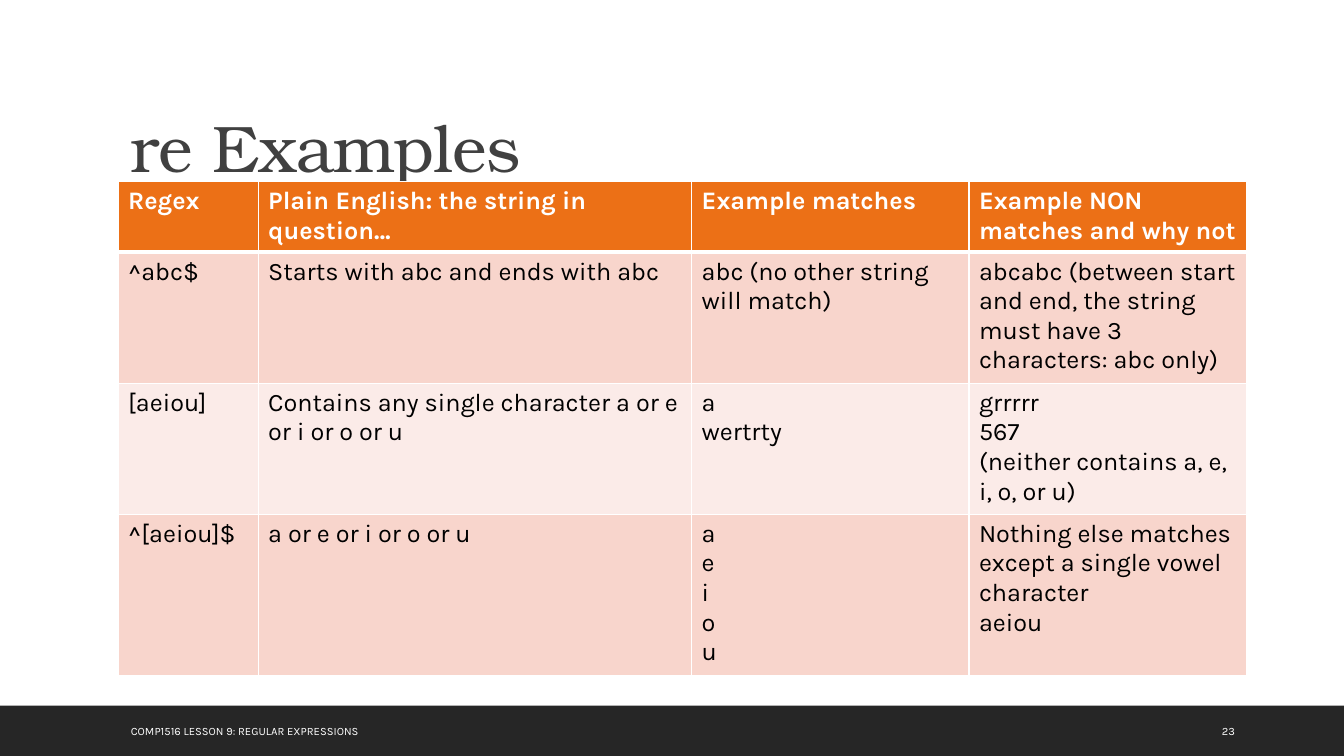
from lxml import etree
from pptx import Presentation
from pptx.dml.color import RGBColor
from pptx.enum.shapes import MSO_SHAPE
from pptx.enum.text import MSO_ANCHOR
from pptx.oxml.ns import qn
from pptx.util import Inches, Pt

RECTANGLE = MSO_SHAPE.RECTANGLE
BOTTOM, MIDDLE = MSO_ANCHOR.BOTTOM, MSO_ANCHOR.MIDDLE

WHITE = RGBColor(0xFF, 0xFF, 0xFF)
BLACK = RGBColor(0x00, 0x00, 0x00)
CHARCOAL = RGBColor(0x26, 0x26, 0x26)
TITLE_GRAY = RGBColor(0x40, 0x40, 0x40)
ORANGE = RGBColor(0xEC, 0x70, 0x16)
BANDS = (RGBColor(0xFB, 0xEB, 0xE8), RGBColor(0xF8, 0xD5, 0xCC))

TITLE_FONT, BODY_FONT = "TeX Gyre Bonum", "Karla"
SLIDE_WIDTH, SLIDE_HEIGHT = 13.33, 7.5
MARGIN = 1.2
FOOTER_HEIGHT = 0.5

COLUMN_WIDTHS = (1.39, 4.3, 2.75, 2.75)
ROW_HEIGHTS = (0.67, 1.27, 1.27, 1.56)
ROWS = (
    ("Regex", "Plain English: the string in question…",
     "Example matches", "Example NON matches and why not"),
    ("^abc$", "Starts with abc and ends with abc",
     "abc (no other string will match)",
     "abcabc (between start and end, the string must have 3 characters: abc only)"),
    ("[aeiou]", "Contains any single character a or e or i or o or u",
     "a\nwertrty", "grrrrr\n567\n(neither contains a, e, i, o, or u)"),
    ("^[aeiou]$", "a or e or i or o or u", "a\ne\ni\no\nu",
     "Nothing else matches except a single vowel character\naeiou"),
)


def set_text(text_frame, text, font_name, size, color, bold=False):
    text_frame.text = text
    text_frame.word_wrap = True
    for paragraph in text_frame.paragraphs:
        font = paragraph.font
        font.name, font.size, font.bold = font_name, Pt(size), bold
        font.color.rgb = color


def add_text(slide, box, text, font_name, size, color, anchor):
    shape = slide.shapes.add_textbox(*map(Inches, box))
    set_text(shape.text_frame, text, font_name, size, color)
    shape.text_frame.vertical_anchor = anchor
    return shape.text_frame.paragraphs[0]


def add_title(slide, box):
    paragraph = add_text(slide, box, "re Examples", TITLE_FONT, 47, TITLE_GRAY, BOTTOM)
    paragraph.line_spacing = 0.9
    paragraph.runs[0]._r.get_or_add_rPr().set("spc", "-50")


def add_borders(cell, top, bottom):
    properties = cell._tc.get_or_add_tcPr()
    for side, width in (("L", 1), ("R", 1), ("T", top), ("B", bottom)):
        line = etree.SubElement(properties, qn(f"a:ln{side}"), w=str(Pt(width)))
        fill = etree.SubElement(line, qn("a:solidFill"))
        etree.SubElement(fill, qn("a:srgbClr"), val=str(WHITE))


def add_regex_table(slide, left, top):
    box = (left, top, sum(COLUMN_WIDTHS), sum(ROW_HEIGHTS))
    table = slide.shapes.add_table(len(ROWS), len(COLUMN_WIDTHS), *map(Inches, box)).table
    for column, width in zip(table.columns, COLUMN_WIDTHS):
        column.width = Inches(width)
    for index, (row, height, texts) in enumerate(zip(table.rows, ROW_HEIGHTS, ROWS)):
        row.height = Inches(height)
        header = index == 0
        for cell, text in zip(row.cells, texts):
            add_borders(cell, 3 if index == 1 else 1, 3 if header else 1)
            cell.fill.solid()
            cell.fill.fore_color.rgb = ORANGE if header else BANDS[index % 2]
            set_text(cell.text_frame, text, BODY_FONT, 18, WHITE if header else BLACK, header)


def add_footer(slide, left, top, width, height):
    bar = slide.shapes.add_shape(RECTANGLE, *map(Inches, (left, top, width, height)))
    bar.shadow.inherit = False
    bar.fill.solid()
    bar.fill.fore_color.rgb = CHARCOAL
    bar.line.fill.background()
    labels = ((MARGIN, 7.46, "COMP1516 LESSON 9: REGULAR EXPRESSIONS"), (12.02, 0.85, "23"))
    for offset, label_width, text in labels:
        box = (left + offset, top + 0.1 * height, label_width, 0.8 * height)
        add_text(slide, box, text, BODY_FONT, 8, WHITE, MIDDLE)


def main():
    presentation = Presentation()
    presentation.slide_width = Inches(SLIDE_WIDTH)
    presentation.slide_height = Inches(SLIDE_HEIGHT)
    slide = presentation.slides.add_slide(presentation.slide_layouts[6])
    add_footer(slide, 0, SLIDE_HEIGHT - FOOTER_HEIGHT, SLIDE_WIDTH, FOOTER_HEIGHT)
    add_title(slide, (MARGIN, 0.31, 11, 1.59))
    add_regex_table(slide, 1.17, 1.8)
    presentation.save("out.pptx")


if __name__ == "__main__":
    main()
